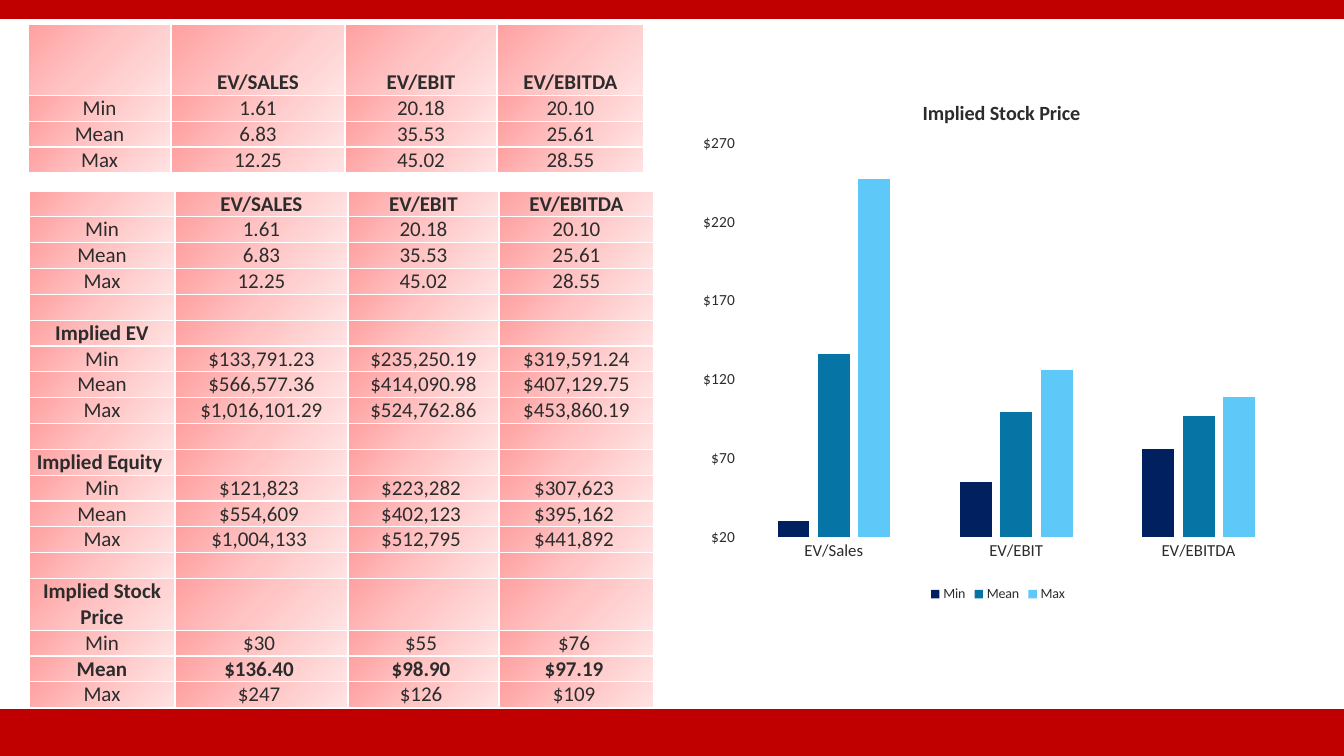
from lxml import etree
from pptx import Presentation
from pptx.chart.data import CategoryChartData
from pptx.dml.color import RGBColor
from pptx.enum.chart import XL_CHART_TYPE, XL_LEGEND_POSITION, XL_TICK_MARK
from pptx.enum.shapes import MSO_SHAPE
from pptx.enum.text import MSO_ANCHOR, PP_ALIGN
from pptx.oxml import parse_xml
from pptx.oxml.ns import qn
from pptx.util import Pt

COLUMNS, LEGEND_BOTTOM = XL_CHART_TYPE.COLUMN_CLUSTERED, XL_LEGEND_POSITION.BOTTOM
NO_TICK, RECT = XL_TICK_MARK.NONE, MSO_SHAPE.RECTANGLE
BOTTOM, CENTER = MSO_ANCHOR.BOTTOM, PP_ALIGN.CENTER
PX = 914400 / 100.8
FONT = "Calibri"
COLORS = {"red": "C00000", "white": "FFFFFF", "ink": "2C2C2C",
          "pink_dark": "FFA0A0", "pink": "FFC5C5", "pink_light": "FFE3E3",
          "Min": "002060", "Mean": "0774A6", "Max": "5EC8F8"}
NS_A = "http://schemas.openxmlformats.org/drawingml/2006/main"
NS_C = "http://schemas.openxmlformats.org/drawingml/2006/chart"
STOPS = "".join(
    f'<a:gs pos="{pos}"><a:srgbClr val="{COLORS[name]}"/></a:gs>'
    for pos, name in ((0, "pink_dark"), (50000, "pink"), (100000, "pink_light")))
GRADIENT = (f'<a:gradFill xmlns:a="{NS_A}" rotWithShape="1"><a:gsLst>{STOPS}</a:gsLst>'
            '<a:lin ang="2700000" scaled="1"/></a:gradFill>')


def style(font, size, bold=False):
    font.name, font.size, font.bold = FONT, Pt(size), bold
    font.color.rgb = RGBColor.from_string(COLORS["ink"])


def set_layout(element, target=None, **fractions):
    """Place a chart part by fractions of the chart area."""
    for old in element.findall(qn("c:layout")):
        element.remove(old)
    inner = f'<c:layoutTarget val="{target}"/>' if target else ""
    inner += "".join(f'<c:{k}Mode val="edge"/>' for k in "xy")
    inner += "".join(f'<c:{k} val="{v}"/>' for k, v in fractions.items())
    layout = parse_xml(f'<c:layout xmlns:c="{NS_C}"><c:manualLayout>{inner}'
                       '</c:manualLayout></c:layout>')
    text = element.find(qn("c:tx"))
    element.insert(0 if text is None else 1, layout)


prs = Presentation()
prs.slide_width, prs.slide_height = round(1344 * PX), round(756 * PX)
s = prs.slides.add_slide(prs.slide_layouts[6])

# Red background with white panels
s.background.fill.solid()
s.background.fill.fore_color.rgb = RGBColor.from_string(COLORS["red"])
for top, height in ((19, 181), (47, 662)):
    sp = s.shapes.add_shape(RECT, 0, round(top * PX), prs.slide_width, round(height * PX))
    sp.shadow.inherit = False
    sp.fill.solid()
    sp.fill.fore_color.rgb = RGBColor.from_string(COLORS["white"])
    sp.line.fill.background()

# Multiples and valuation tables
multiples = [
    ["", "EV/SALES", "EV/EBIT", "EV/EBITDA"],
    ["Min", "1.61", "20.18", "20.10"],
    ["Mean", "6.83", "35.53", "25.61"],
    ["Max", "12.25", "45.02", "28.55"],
]
valuation = multiples + [
    [],
    ["Implied EV"],
    ["Min", "$133,791.23", "$235,250.19", "$319,591.24"],
    ["Mean", "$566,577.36", "$414,090.98", "$407,129.75"],
    ["Max", "$1,016,101.29", "$524,762.86", "$453,860.19"],
    [],
    ["Implied Equity "],
    ["Min", "$121,823 ", "$223,282 ", "$307,623 "],
    ["Mean", "$554,609 ", "$402,123 ", "$395,162 "],
    ["Max", "$1,004,133 ", "$512,795 ", "$441,892 "],
    [],
    ["Implied Stock Price"],
    ["Min", "$30 ", "$55 ", "$76 "],
    ["Mean", "$136.40 ", "$98.90 ", "$97.19 "],
    ["Max", "$247 ", "$126 ", "$109 "],
]
# left, top, height, column widths, tall row, its share in row units, rows, bold rows
tables = [
    (28, 24, 149, [143, 174, 152, 147, 5, 5], 0, 2.76, multiples, {0}),
    (29, 191, 517, [146, 173, 151, 155], 15, 2, valuation, {0, 5, 10, 15, 17}),
]
for left, top, height, widths, tall, share, rows, bold_rows in tables:
    table = s.shapes.add_table(len(rows), len(widths), round(left * PX), round(top * PX),
                               round(sum(widths) * PX), round(height * PX)).table
    table.first_row = table.horz_banding = False
    for column, width in zip(table.columns, widths):
        column.width = round(width * PX)
    unit = height / (len(rows) - 1 + share)
    for i, values in enumerate(rows):
        table.rows[i].height = round(unit * (share if i == tall else 1) * PX)
        for j in range(len(widths)):
            cell = table.cell(i, j)
            cell.margin_left = cell.margin_right = round(PX)
            cell.margin_top = cell.margin_bottom = 0
            cell.vertical_anchor = BOTTOM
            p = cell.text_frame.paragraphs[0]
            p.alignment = CENTER
            style(p.font, 15, i in bold_rows)
            if j < len(values) and values[j]:
                p.text = values[j]
            else:
                etree.SubElement(p._p, qn("a:endParaRPr"), sz="1500")
            if j < 4:
                cell._tc.get_or_add_tcPr().append(parse_xml(GRADIENT))
            else:
                cell.fill.solid()
                cell.fill.fore_color.rgb = RGBColor.from_string(COLORS["white"])

# Implied stock price chart
data = CategoryChartData()
data.categories = ["EV/Sales", "EV/EBIT", "EV/EBITDA"]
data.add_series("Min", (30, 55, 76))
data.add_series("Mean", (136, 99, 97))
data.add_series("Max", (247, 126, 109))
chart = s.shapes.add_chart(COLUMNS, round(694 * PX), round(74 * PX),
                           round(608 * PX), round(532 * PX), data).chart
style(chart.font, 10)
chart.has_title = True
p = chart.chart_title.text_frame.paragraphs[0]
p.text = "Implied Stock Price"
style(p.font, 14.4, True)
chart.has_legend = True
chart.legend.position = LEGEND_BOTTOM
chart.legend.include_in_layout = False
style(chart.legend.font, 10)

plot = chart.plots[0]
plot.gap_width, plot.overlap, plot.vary_by_categories = 219, -27, False
for series in plot.series:
    series.format.fill.solid()
    series.format.fill.fore_color.rgb = RGBColor.from_string(COLORS[series.name])

for axis, size in ((chart.category_axis, 12), (chart.value_axis, 11)):
    axis.major_tick_mark = axis.minor_tick_mark = NO_TICK
    axis.has_major_gridlines = False
    style(axis.tick_labels.font, size)
axis = chart.value_axis
axis.minimum_scale, axis.maximum_scale, axis.major_unit = 20, 270, 50
axis.tick_labels.number_format = '"$"#,##0_);[Red]\\("$"#,##0\\)'
axis.tick_labels.number_format_is_linked = False
axis.format.line.fill.background()
line = chart.category_axis.format.line
line.width = Pt(0.75)
line.color.rgb = RGBColor.from_string(COLORS["white"])

set_layout(chart.chart_title._element, x=0.37, y=0.04)
set_layout(chart._chartSpace.chart.plotArea, "inner", x=0.08, y=0.13, w=0.9, h=0.74)

prs.save("out.pptx")
